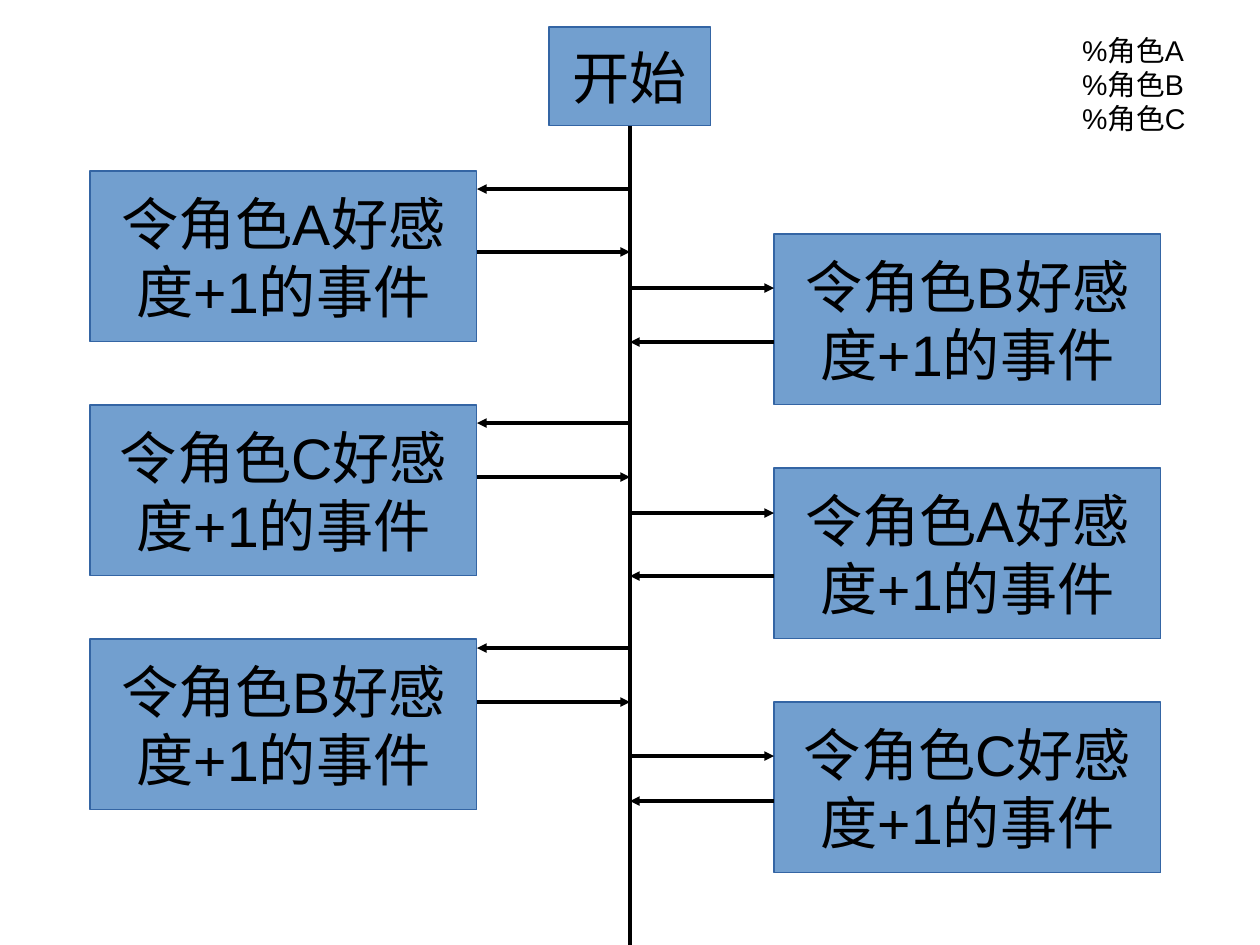
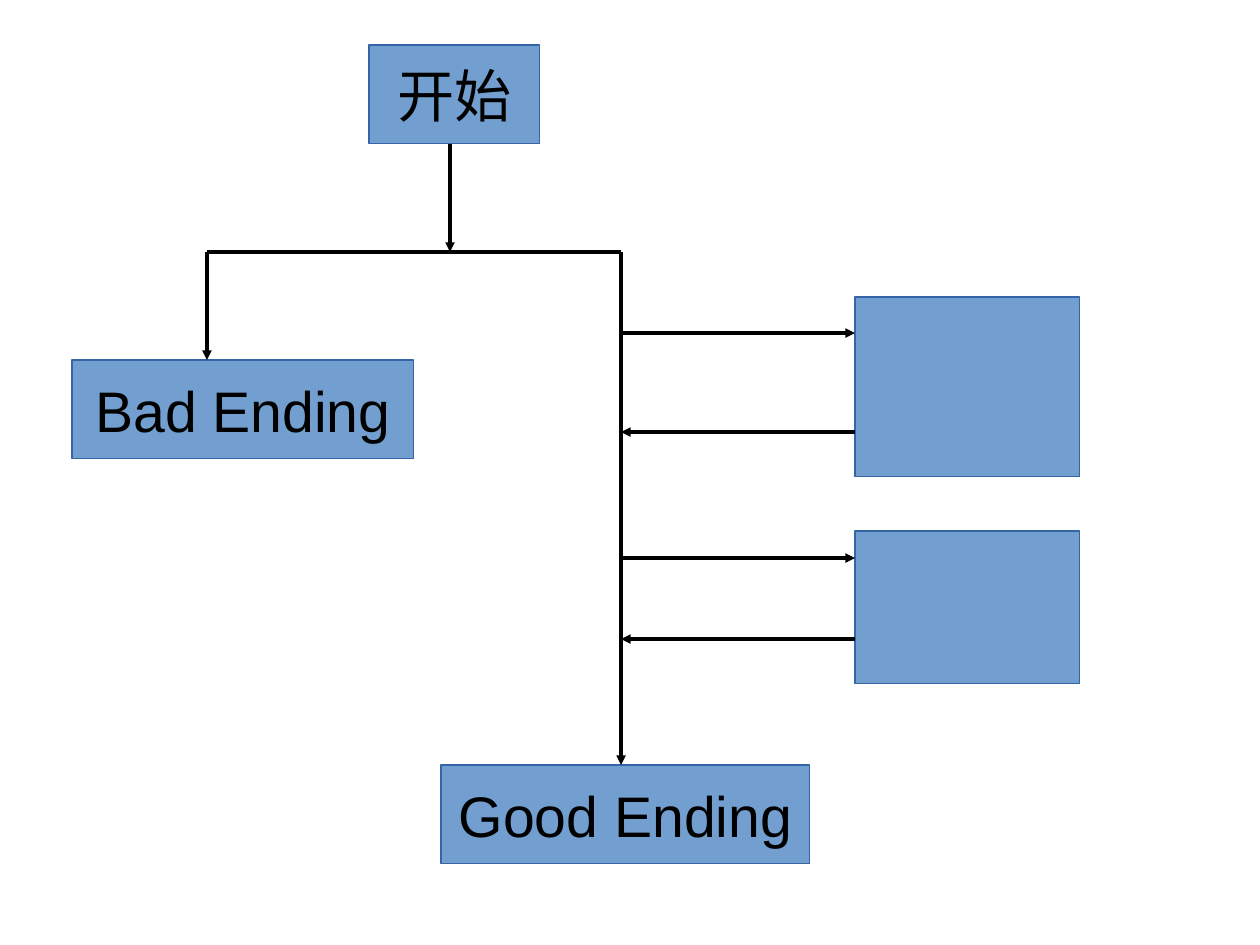
from lxml.etree import SubElement
from pptx import Presentation
from pptx.dml.color import RGBColor
from pptx.enum.shapes import MSO_CONNECTOR, MSO_SHAPE
from pptx.enum.text import MSO_ANCHOR, MSO_AUTO_SIZE, PP_ALIGN
from pptx.oxml.ns import qn
from pptx.util import Cm, Pt

BLUE = RGBColor(0x72, 0x9F, 0xCF)
EDGE = RGBColor(0x34, 0x65, 0xA4)
BLACK = RGBColor(0, 0, 0)
COLS, ROWS = 28, 21


class Chart:
    """Draws flow charts on a grid of 28 columns by 21 rows."""

    font = {"name": "Arial"}
    node = {"word_wrap": False, "vertical_anchor": MSO_ANCHOR.MIDDLE}
    note = {"word_wrap": True, "auto_size": MSO_AUTO_SIZE.SHAPE_TO_FIT_TEXT}

    def __init__(self):
        self.deck = Presentation()
        self.deck.slide_width = Cm(COLS)
        self.deck.slide_height = Cm(ROWS)

    def page(self):
        self.shapes = self.deck.slides.add_slide(self.deck.slide_layouts[6]).shapes

    def style(self, item, form):
        for name, value in form.items():
            setattr(item, name, value)

    def stroke(self, line, color):
        line.color.rgb = color
        line.width = Pt(0)

    def letter(self, frame, lines, size, align, form):
        self.style(frame, form)
        for i, text in enumerate(lines):
            para = frame.add_paragraph() if i else frame.paragraphs[0]
            para.alignment = align
            run = para.add_run()
            run.text = text
            self.style(run.font, {**self.font, "size": Pt(size)})
            run.font.color.rgb = BLACK

    def box(self, x, y, w, h, *lines):
        shape = self.shapes.add_shape(MSO_SHAPE.RECTANGLE, Cm(x), Cm(y), Cm(w), Cm(h))
        shape.shadow.inherit = False
        shape.fill.solid()
        shape.fill.fore_color.rgb = BLUE
        self.stroke(shape.line, EDGE)
        self.letter(shape.text_frame, lines, 36, PP_ALIGN.CENTER, self.node)

    def label(self, x, y, w, h, *lines):
        shape = self.shapes.add_textbox(Cm(x), Cm(y), Cm(w), Cm(h))
        self.letter(shape.text_frame, lines, 18, PP_ALIGN.LEFT, self.note)

    def line(self, x1, y1, x2, y2, head=True):
        wire = self.shapes.add_connector(
            MSO_CONNECTOR.STRAIGHT, Cm(x1), Cm(y1), Cm(x2), Cm(y2))
        self.stroke(wire.line, BLACK)
        props = wire._element.spPr
        if head:
            SubElement(props.find(qn("a:ln")), qn("a:tailEnd"), type="triangle")
        SubElement(props, qn("a:effectLst"))

    def loop(self, rail, side, out, back):
        self.line(rail, out, side, out)
        self.line(side, back, rail, back)


def events(chart):
    rail, wide, step = 14, 8.6, 5.2
    chart.page()
    chart.box(12.2, 0.6, 3.6, 2.2, "开始")
    chart.label(23.8, 0.6, 3.2, 3, *(f"%角色{who}" for who in "ABC"))
    sides = (
        (2, 2 + wide, 3.8, "ACB", ((4.2, 5.6), (9.4, 10.6), (14.4, 15.6))),
        (17.2, 17.2, 5.2, "BAC", ((6.4, 7.6), (11.4, 12.8), (16.8, 17.8))),
    )
    for left, side, top, cast, loops in sides:
        for i, (who, (out, back)) in enumerate(zip(cast, loops)):
            chart.box(left, top + i * step, wide, 3.8,
                      f"令角色{who}好感", "度+1的事件")
            chart.loop(rail, side, out, back)
    chart.line(rail, 2.8, rail, ROWS, head=False)


def endings(chart):
    rail, fork, bad = 13.8, 5.6, 4.6
    chart.page()
    chart.box(8.2, 1, 3.8, 2.2, "开始")
    chart.box(1.6, 8, 7.6, 2.2, "Bad Ending")
    chart.box(9.8, 17, 8.2, 2.2, "Good Ending")
    chart.line(10, 3.2, 10, fork)
    chart.line(bad, fork, rail, fork, head=False)
    chart.line(bad, fork, bad, 8)
    chart.line(rail, fork, rail, 17)
    for top, high, out, back in ((6.6, 4, 7.4, 9.6), (11.8, 3.4, 12.4, 14.2)):
        chart.box(19, top, 5, high)
        chart.loop(rail, 19, out, back)


def main():
    chart = Chart()
    events(chart)
    endings(chart)
    chart.deck.save("out.pptx")


if __name__ == "__main__":
    main()
